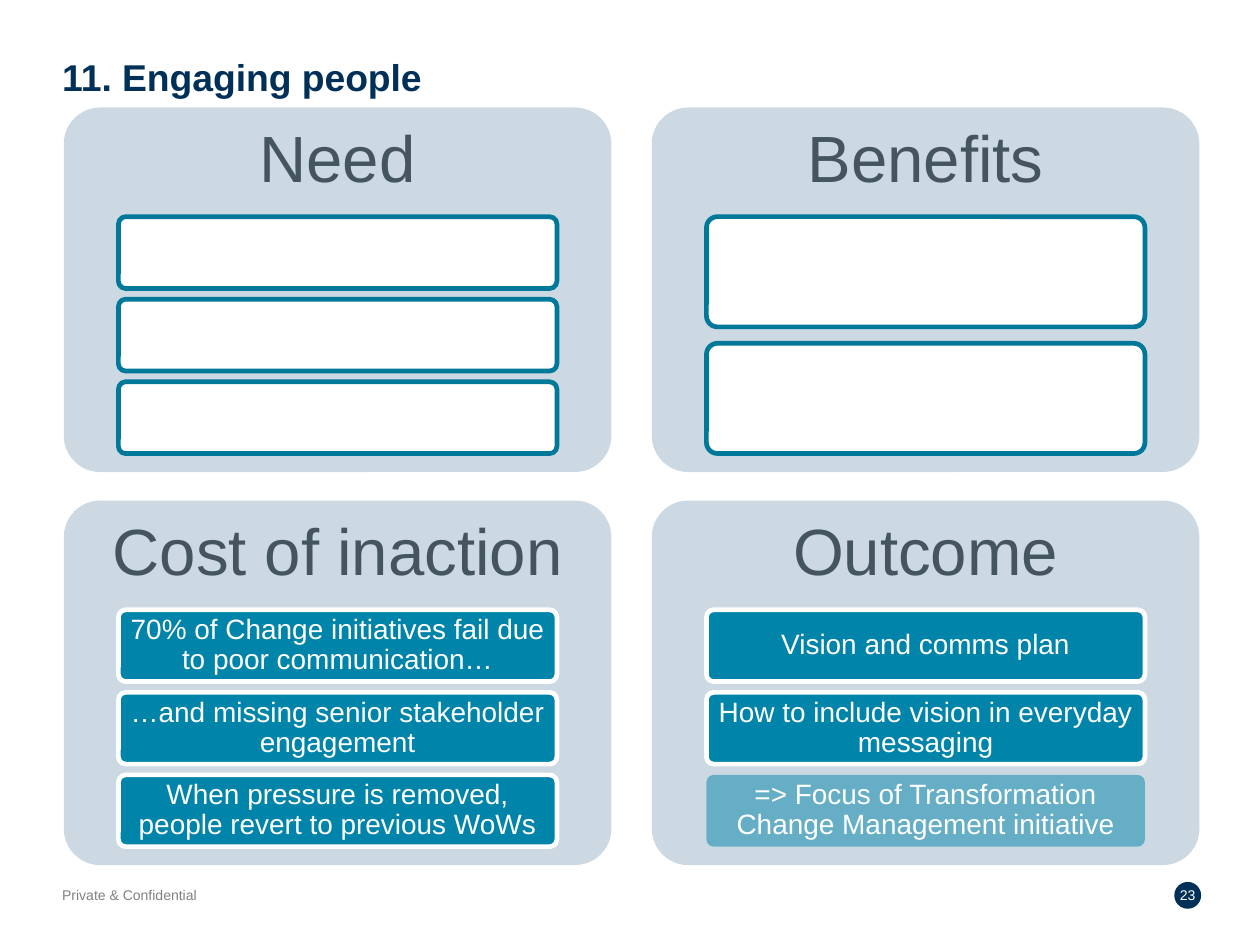
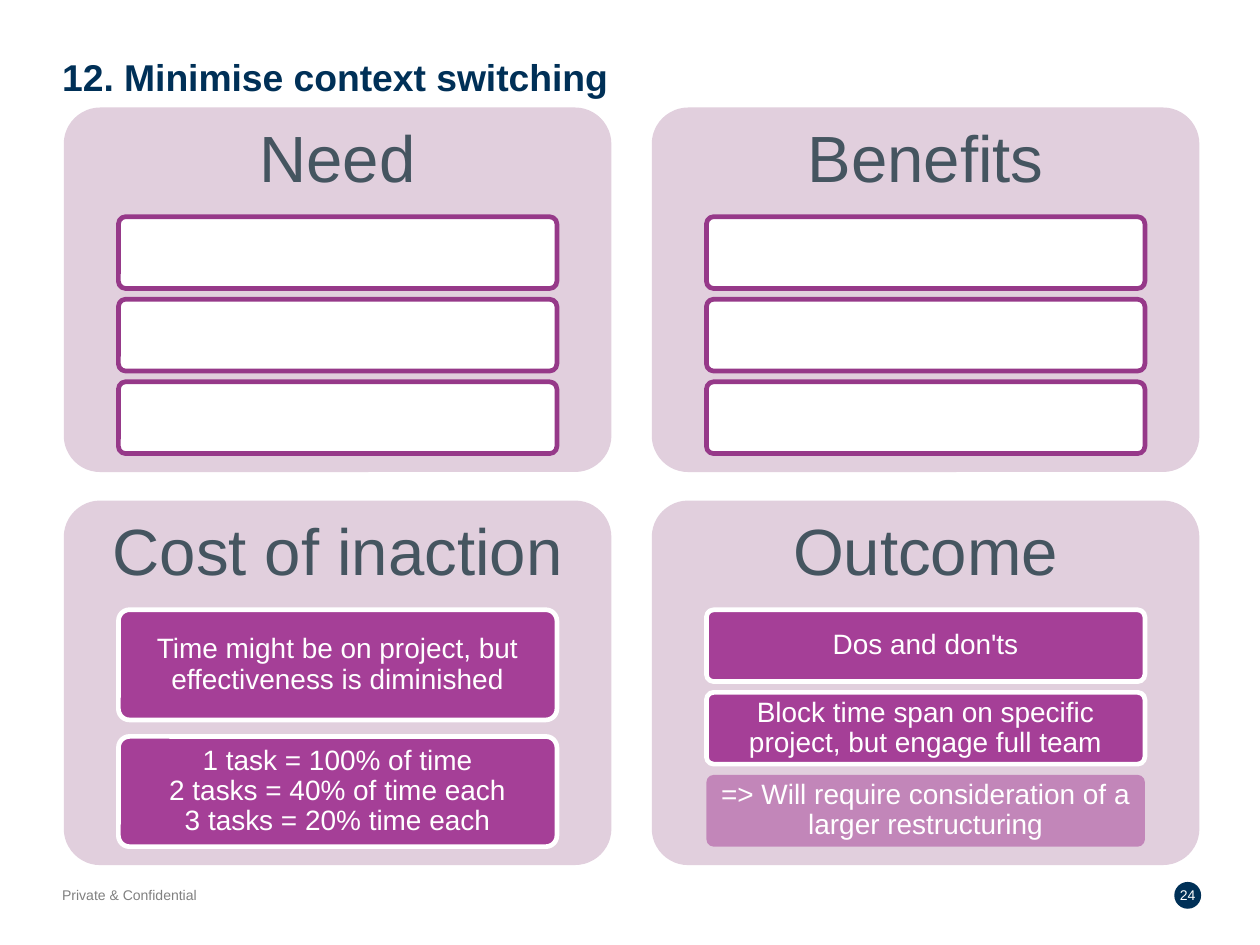
from dataclasses import dataclass

import pptx
import pptx.dml.color
import pptx.enum.shapes
import pptx.enum.text
import pptx.oxml
import pptx.oxml.ns
import pptx.util

Inches = pptx.util.Inches
Pt = pptx.util.Pt
PP_ALIGN = pptx.enum.text.PP_ALIGN
MSO_ANCHOR = pptx.enum.text.MSO_ANCHOR
MSO_SHAPE = pptx.enum.shapes.MSO_SHAPE

FONT = "Arial"
NAVY, SLATE, GREY, WHITE = "003057", "455560", "808080", "FFFFFF"
HEADINGS = ("Need", "Benefits", "Cost of inaction", "Outcome")
SLIDE_W = 7.5
SLIDE_H = SLIDE_W * 3 / 4
PANEL_LEFT, PANEL_TOP, PANEL_W, PANEL_H = 0.38, 0.64, 3.26, 2.17
PANEL_STEP_X, PANEL_STEP_Y = 3.5, 2.34
ROW_TOP, ROW_W, ROWS_H = 0.65, 2.61, 1.41
ROW_LEFT = (PANEL_W - ROW_W) / 2
GAP_RATIO = 0.15


@dataclass(frozen=True)
class Theme:
    panel: str
    outline: str
    fill: str


@dataclass(frozen=True)
class Row:
    text: str = ""
    faded: bool = False


@dataclass(frozen=True)
class Page:
    number: int
    title: str
    theme: Theme
    panels: tuple[tuple[Row, ...], ...]


TEAL = Theme("CCD9E2", "007899", "0084A9")
PURPLE = Theme("E1CFDD", "963989", "A53F97")

PAGES = (
    Page(23, "11. Engaging people", TEAL, (
        (Row(),) * 3,
        (Row(),) * 2,
        (
            Row("70% of Change initiatives fail due to poor communication…"),
            Row("…and missing senior stakeholder engagement"),
            Row("When pressure is removed, people revert to previous WoWs"),
        ),
        (
            Row("Vision and comms plan"),
            Row("How to include vision in everyday messaging"),
            Row("=> Focus of Transformation Change Management initiative", True),
        ),
    )),
    Page(24, "12. Minimise context switching", PURPLE, (
        (Row(),) * 3,
        (Row(),) * 3,
        (
            Row("Time might be on project, but effectiveness is diminished"),
            Row("1 task = 100% of time\n2 tasks = 40% of time each\n3 tasks = 20% time each"),
        ),
        (
            Row("Dos and don'ts"),
            Row("Block time span on specific project, but engage full team"),
            Row("=> Will require consideration of a larger restructuring", True),
        ),
    )),
)


def rgb(color: str) -> pptx.dml.color.RGBColor:
    return pptx.dml.color.RGBColor.from_string(color)


def write(sp, text: str, size: float, color: str, align=PP_ALIGN.LEFT,
          anchor=MSO_ANCHOR.TOP, inset: float = 0, bold: bool = False,
          spacing: float = 1.0) -> None:
    tf = sp.text_frame
    tf.word_wrap = True
    tf.vertical_anchor = anchor
    tf.margin_left = tf.margin_right = tf.margin_top = tf.margin_bottom = Inches(inset)
    p = tf.paragraphs[0]
    p.alignment = align
    p.line_spacing = spacing
    for i, line in enumerate(text.split("\n")):
        if i:
            p.add_line_break()
        r = p.add_run()
        r.text = line
        r.font.name = FONT
        r.font.size = Pt(size)
        r.font.bold = bold
        r.font.color.rgb = rgb(color)


def add_box(s, kind, x: float, y: float, w: float, h: float,
            fill: str, line: str | None = None):
    sp = s.shapes.add_shape(kind, Inches(x), Inches(y), Inches(w), Inches(h))
    sp.shadow.inherit = False
    sp.fill.solid()
    sp.fill.fore_color.rgb = rgb(fill)
    if line:
        sp.line.color.rgb = rgb(line)
        sp.line.width = Pt(2)
    else:
        sp.line.fill.background()
    if kind == MSO_SHAPE.ROUNDED_RECTANGLE:
        sp.adjustments[0] = 0.1
    return sp


def set_alpha(sp, percent: int) -> None:
    color = sp.fill._xPr.find(pptx.oxml.ns.qn("a:solidFill"))[0]
    alpha = pptx.oxml.parse_xml(
        f'<a:alpha {pptx.oxml.ns.nsdecls("a")} val="{percent * 1000}"/>')
    color.append(alpha)


def add_row(s, row: Row, theme: Theme, x: float, y: float, h: float) -> None:
    fill = theme.fill if row.text else WHITE
    line = WHITE if row.text else theme.outline
    sp = add_box(s, MSO_SHAPE.ROUNDED_RECTANGLE, x, y, ROW_W, h,
                 fill, None if row.faded else line)
    if row.faded:
        set_alpha(sp, 50)
    if row.text:
        write(sp, row.text, 12, WHITE, PP_ALIGN.CENTER, MSO_ANCHOR.MIDDLE,
              inset=0.03, spacing=0.9)


def add_panel(s, heading: str, rows: tuple[Row, ...], theme: Theme,
              x: float, y: float) -> None:
    sp = add_box(s, MSO_SHAPE.ROUNDED_RECTANGLE, x, y, PANEL_W, PANEL_H, theme.panel)
    write(sp, heading, 28, SLATE, PP_ALIGN.CENTER, inset=0.05, spacing=0.9)
    row_h = ROWS_H / (len(rows) + (len(rows) - 1) * GAP_RATIO)
    for i, row in enumerate(rows):
        row_y = y + ROW_TOP + i * row_h * (1 + GAP_RATIO)
        add_row(s, row, theme, x + ROW_LEFT, row_y, row_h)


def add_label(s, text: str, x: float, w: float, color: str, align) -> None:
    sp = s.shapes.add_textbox(Inches(x), Inches(5.28), Inches(w), Inches(0.1))
    write(sp, text, 6, color, align)


def add_frame(s, page: Page) -> None:
    title = s.shapes.title
    title.left, title.top = Inches(0.37), Inches(0.32)
    title.width, title.height = Inches(6.77), Inches(0.27)
    write(title, page.title, 16, NAVY, bold=True)
    add_box(s, MSO_SHAPE.OVAL, 6.99, 5.25, 0.16, 0.16, NAVY)
    add_label(s, str(page.number), 6.99, 0.16, WHITE, PP_ALIGN.CENTER)
    add_label(s, "Private & Confidential", 0.37, 1.57, GREY, PP_ALIGN.LEFT)


def add_page(prs, page: Page) -> None:
    s = prs.slides.add_slide(prs.slide_layouts[5])
    add_frame(s, page)
    for i, (heading, rows) in enumerate(zip(HEADINGS, page.panels)):
        line, column = divmod(i, 2)
        add_panel(s, heading, rows, page.theme,
                  PANEL_LEFT + column * PANEL_STEP_X,
                  PANEL_TOP + line * PANEL_STEP_Y)


def main() -> None:
    prs = pptx.Presentation()
    prs.slide_width, prs.slide_height = Inches(SLIDE_W), Inches(SLIDE_H)
    for page in PAGES:
        add_page(prs, page)
    prs.save("out.pptx")


if __name__ == "__main__":
    main()
